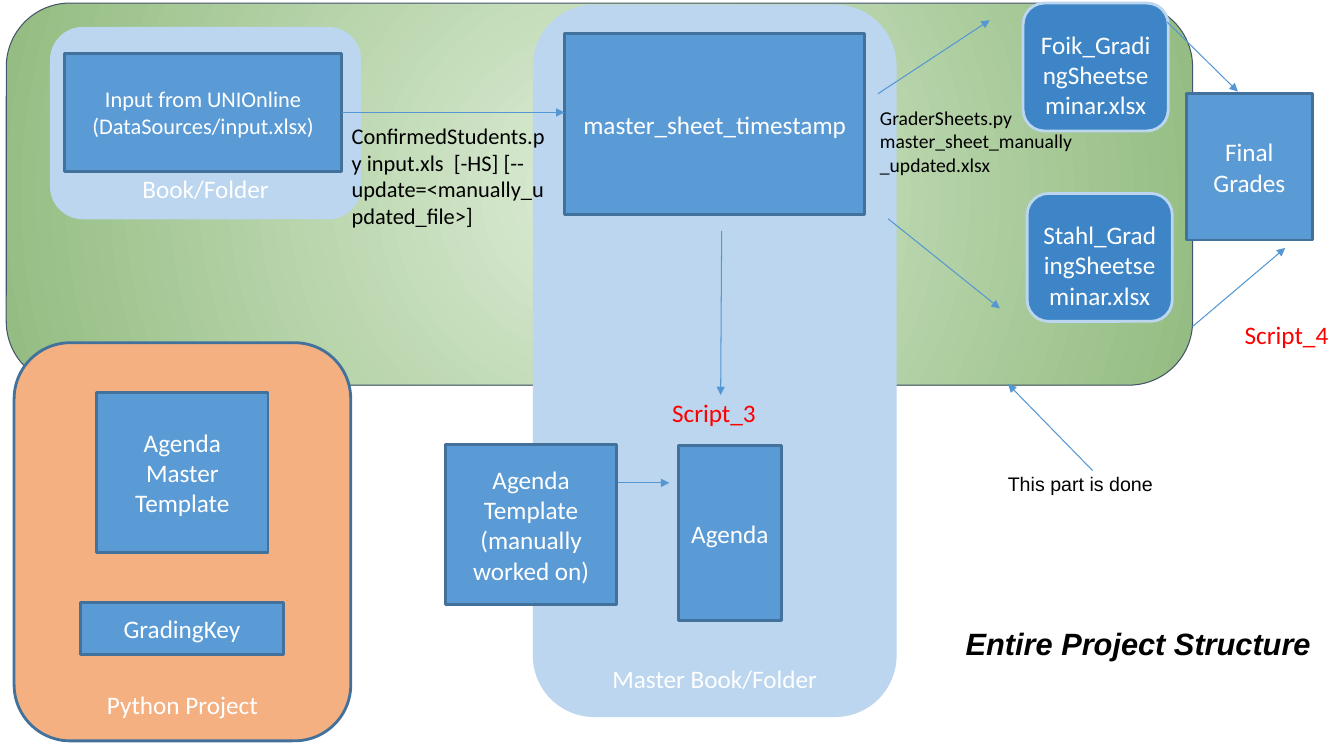
from dataclasses import dataclass

from lxml.etree import SubElement
from pptx import Presentation
from pptx.dml.color import RGBColor
from pptx.enum.shapes import MSO_CONNECTOR, MSO_SHAPE
from pptx.enum.text import MSO_ANCHOR, MSO_AUTO_SIZE, PP_ALIGN
from pptx.oxml.ns import qn
from pptx.util import Pt


@dataclass(frozen=True)
class Theme:
    box: str = "5B9BD5"
    box_line: str = "42719B"
    folder: str = "BBD6EE"
    project: str = "F4B081"
    grader: str = "3D85C6"
    done_center: str = "DCECD5"
    done_edge: str = "93BC81"
    done_line: str = "44546A"
    arrow: str = "5597D3"
    light: str = "FFFFFF"
    dark: str = "000000"
    open_task: str = "FF0000"
    font: str = "Calibri"
    note_font: str = "Arial"
    title_size: int = 22
    body_size: int = 18
    command_size: int = 16
    note_size: int = 14


theme = Theme()


def write(shape, text, size, color, font=theme.font, align=PP_ALIGN.LEFT, anchor=MSO_ANCHOR.TOP):
    frame = shape.text_frame
    frame.text = text
    frame.word_wrap = True
    frame.vertical_anchor = anchor
    for paragraph in frame.paragraphs:
        paragraph.alignment = align
        paragraph.font.size = Pt(size)
        paragraph.font.name = font
        paragraph.font.color.rgb = RGBColor.from_string(color)


def add_box(kind, place, fill, line, line_width=2):
    """Add a preset shape; a fill of None leaves the fill to the caller."""
    shape = slide.shapes.add_shape(kind, *map(Pt, place))
    shape.shadow.inherit = False
    if fill:
        shape.fill.solid()
        shape.fill.fore_color.rgb = RGBColor.from_string(fill)
    shape.line.color.rgb = RGBColor.from_string(line)
    shape.line.width = Pt(line_width)
    return shape


presentation = Presentation()
presentation.slide_width = Pt(960)
presentation.slide_height = Pt(540)
slide = presentation.slides.add_slide(presentation.slide_layouts[5])

# Title
title = slide.shapes.title
title.left, title.top, title.width, title.height = map(Pt, (682.6, 439.2, 277.4, 41))
write(title, "Entire Project Structure", theme.title_size, theme.dark, theme.note_font)
title.text_frame.auto_size = MSO_AUTO_SIZE.NONE
title.text_frame.margin_top = title.text_frame.margin_bottom = Pt(7.2)
title.text_frame.paragraphs[0].font.bold = True
title.text_frame.paragraphs[0].font.italic = True

# Finished part, with a radial gradient
done_part = add_box(MSO_SHAPE.ROUNDED_RECTANGLE, (4.5, 2.2, 847.4, 272.9), None, theme.done_line, 0.75)
done_part.fill.gradient()
for stop, color in zip(done_part.fill.gradient_stops, (theme.done_center, theme.done_edge)):
    stop.color.rgb = RGBColor.from_string(color)
gradient = done_part.element.spPr.find(qn("a:gradFill"))
gradient.remove(gradient.find(qn("a:lin")))
radial = SubElement(gradient, qn("a:path"), {"path": "circle"})
SubElement(radial, qn("a:fillToRect"), dict.fromkeys("ltrb", "50000"))

# Folders and grader workbooks, labelled at the bottom
for text, place, fill, line in (
    ("Python Project", (10.1, 244.8, 240.5, 284.4), theme.project, theme.box_line),
    ("Master Book/Folder", (381.6, 4.3, 257.8, 506.9), theme.folder, theme.folder),
    ("Book/Folder", (36.7, 20.2, 220.3, 135.4), theme.folder, theme.folder),
    ("Foik_GradingSheetseminar.xlsx", (730.8, 2.2, 103.7, 91.4), theme.grader, theme.folder),
    ("Stahl_GradingSheetseminar.xlsx", (733.7, 138.2, 103.7, 91.4), theme.grader, theme.folder),
):
    folder = add_box(MSO_SHAPE.ROUNDED_RECTANGLE, place, fill, line)
    write(folder, text, theme.body_size, theme.light, align=PP_ALIGN.CENTER, anchor=MSO_ANCHOR.BOTTOM)

# Sheets
sheets = {}
for text, place, size in (
    ("Input from UNIOnline\n(DataSources/input.xlsx)", (46.1, 38.2, 198, 84.2), theme.command_size),
    ("master_sheet_timestamp", (403.2, 23.8, 214.6, 129.6), theme.body_size),
    ("Agenda\nMaster\nTemplate", (69.1, 280.1, 122.4, 114.5), theme.body_size),
    ("Agenda", (484.6, 318.2, 73.4, 125.3), theme.body_size),
    ("Agenda\nTemplate\n(manually worked on)", (318.2, 317.5, 122.4, 114.5), theme.body_size),
    ("Final Grades", (847.4, 67, 90, 104.4), theme.body_size),
    ("GradingKey", (57.6, 430.6, 144.7, 36.7), theme.body_size),
):
    sheet = add_box(MSO_SHAPE.RECTANGLE, place, theme.box, theme.box_line)
    write(sheet, text, size, theme.light, align=PP_ALIGN.CENTER, anchor=MSO_ANCHOR.MIDDLE)
    sheets[text.split("\n")[0]] = sheet

# Arrows: start x, start y, end x, end y
arrows = []
for ends in (
    (244.1, 80.3, 403.2, 80.3),
    (515.5, 164.9, 514.8, 282.2),
    (441.4, 344.9, 478.1, 344.9),
    (627.1, 67, 707, 14.4),
    (634.3, 156.2, 714.2, 220.3),
    (833.8, 15.8, 884.2, 65.5),
    (851.8, 233.3, 918, 177.1),
    (780.5, 336.2, 720, 274.3),
):
    arrow = slide.shapes.add_connector(MSO_CONNECTOR.STRAIGHT, *map(Pt, ends))
    arrow.line.color.rgb = RGBColor.from_string(theme.arrow)
    arrow.line.width = Pt(0.75)
    SubElement(arrow.line._get_or_add_ln(), qn("a:tailEnd"), {"type": "triangle"})
    SubElement(arrow.element.spPr, qn("a:effectLst"))
    arrows.append(arrow)
arrows[0].begin_connect(sheets["Input from UNIOnline"], 3)

# Script names and notes
for text, place, size, color, font, margin in (
    ("ConfirmedStudents.py input.xls  [-HS] [--update=<manually_updated_file>]",
     (244.1, 83.5, 152.6, 93.6), theme.command_size, theme.dark, theme.font, 3.6),
    ("GraderSheets.py master_sheet_manually_updated.xlsx",
     (621.4, 72, 152.6, 93.6), theme.note_size, theme.dark, theme.font, 3.6),
    ("Script_3", (473, 280.1, 85, 50.4), theme.body_size, theme.open_task, theme.font, 3.6),
    ("Script_4", (882, 224.6, 78, 50.4), theme.body_size, theme.open_task, theme.font, 3.6),
    ("This part is done", (712.8, 329.8, 220.3, 31.7), theme.note_size, theme.dark, theme.note_font, 7.2),
):
    note = slide.shapes.add_textbox(*map(Pt, place))
    write(note, text, size, color, font)
    note.text_frame.margin_top = note.text_frame.margin_bottom = Pt(margin)

presentation.save("out.pptx")
